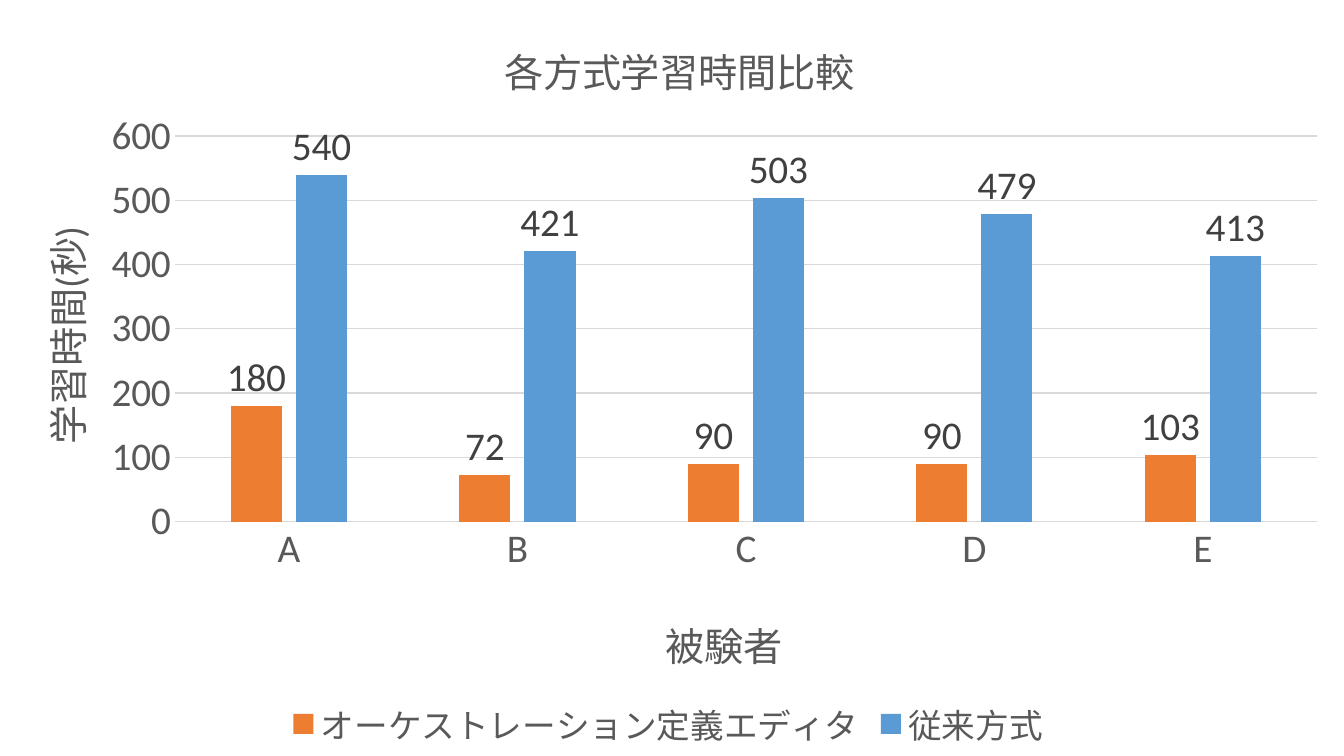
from lxml.etree import SubElement
from pptx import Presentation
from pptx.chart.data import CategoryChartData
from pptx.dml.color import RGBColor
from pptx.enum.chart import XL_CHART_TYPE, XL_LABEL_POSITION, XL_LEGEND_POSITION, XL_TICK_MARK
from pptx.oxml.ns import qn
from pptx.util import Inches, Pt

COLORS = {
    "editor": "ED7D31",
    "conventional": "5B9BD5",
    "text": "595959",
    "label": "404040",
    "grid": "D9D9D9",
}
SUBJECTS = ["A", "B", "C", "D", "E"]
LEARNING_TIMES = [
    ("オーケストレーション定義エディタ", "editor", [180, 72, 90, 90, 103]),
    ("従来方式", "conventional", [540, 421, 503, 479, 413]),
]


class SlideBuilder:
    font_name = "Calibri"
    text_size = 28
    legend_size = 24

    def __init__(self, slide):
        self.slide = slide

    def color(self, name):
        return RGBColor.from_string(COLORS[name])

    def style_font(self, font, size, color="text"):
        font.name = self.font_name
        font.size = Pt(size)
        font.bold = False
        font.color.rgb = self.color(color)

    def style_line(self, line):
        line.color.rgb = self.color("grid")
        line.width = Pt(0.75)

    def place(self, element, previous, **fractions):
        for old_layout in element.findall(qn("c:layout")):
            element.remove(old_layout)
        layout = SubElement(element, qn("c:layout"))
        manual = SubElement(layout, qn("c:manualLayout"))
        if "w" in fractions:
            SubElement(manual, qn("c:layoutTarget")).set("val", "inner")
        for side in ("x", "y"):
            SubElement(manual, qn(f"c:{side}Mode")).set("val", "edge")
        for key, value in fractions.items():
            SubElement(manual, qn(f"c:{key}")).set("val", str(value))
        if previous is None:
            element.insert(0, layout)
        else:
            element.find(qn(previous)).addnext(layout)

    def title(self, owner, text, x, y):
        owner.has_title = True
        title = getattr(owner, "chart_title", None) or owner.axis_title
        para = title.text_frame.paragraphs[0]
        para.text = text
        self.style_font(para.runs[0].font, self.text_size)
        self.place(title._element, "c:tx", x=x, y=y)

    def axis(self, axis, text, x, y):
        axis.major_tick_mark = axis.minor_tick_mark = XL_TICK_MARK.NONE
        self.style_font(axis.tick_labels.font, self.text_size)
        self.title(axis, text, x, y)

    def legend(self, chart, x, y):
        chart.has_legend = True
        chart.legend.position = XL_LEGEND_POSITION.BOTTOM
        chart.legend.include_in_layout = False
        self.style_font(chart.legend.font, self.legend_size)
        self.place(chart.legend._element, "c:legendPos", x=x, y=y)

    def series(self, series, color):
        series.format.fill.solid()
        series.format.fill.fore_color.rgb = self.color(color)
        labels = series.data_labels
        labels.show_value = True
        labels.position = XL_LABEL_POSITION.OUTSIDE_END
        self.style_font(labels.font, self.text_size, "label")

    def column_chart(self, left, top, width, height):
        data = CategoryChartData()
        data.categories = SUBJECTS
        for name, _, seconds in LEARNING_TIMES:
            data.add_series(name, seconds)
        chart = self.slide.shapes.add_chart(
            XL_CHART_TYPE.COLUMN_CLUSTERED,
            Inches(left), Inches(top), Inches(width), Inches(height), data,
        ).chart
        self.style_font(chart.font, 10)
        plot = chart.plots[0]
        plot.gap_width, plot.overlap = 219, -27
        plot.vary_by_categories = False
        for series, (_, color, _) in zip(plot.series, LEARNING_TIMES):
            self.series(series, color)
        return chart


deck = Presentation()
deck.slide_width, deck.slide_height = Inches(13.33), Inches(7.5)
page = deck.slides.add_slide(deck.slide_layouts[6])
builder = SlideBuilder(page)

chart = builder.column_chart(0, 0, 13.33, 7.5)
builder.title(chart, "各方式学習時間比較", 0.37, 0.04)
builder.axis(chart.category_axis, "被験者", 0.49, 0.8)
builder.axis(chart.value_axis, "学習時間(秒)", 0.02, 0.29)
builder.style_line(chart.category_axis.format.line)
builder.style_line(chart.value_axis.major_gridlines.format.line)
chart.value_axis.format.line.fill.background()
chart.value_axis.minimum_scale, chart.value_axis.maximum_scale = 0, 600
chart.value_axis.major_unit = 100
builder.legend(chart, 0.21, 0.92)
plot_area = chart.plots[0]._element.getparent()
builder.place(plot_area, None, x=0.13, y=0.18, w=0.85, h=0.51)

deck.save("out.pptx")
